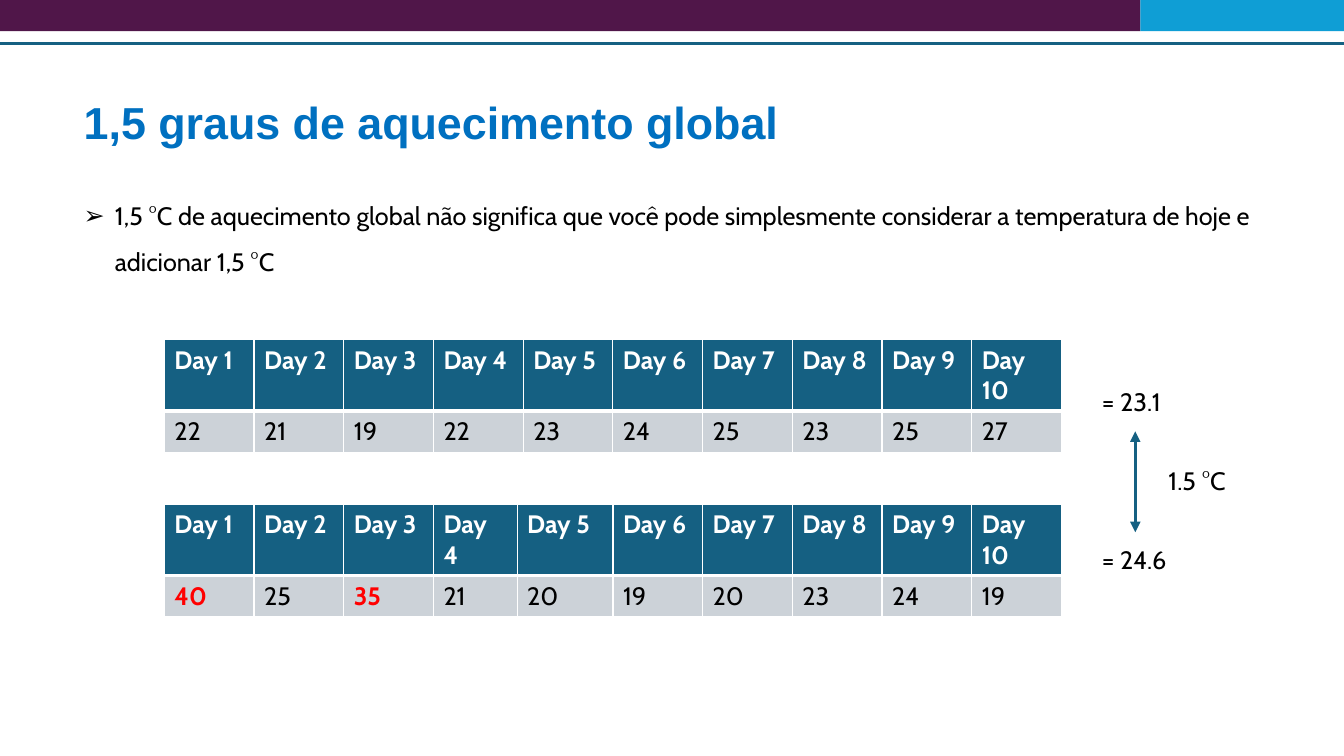
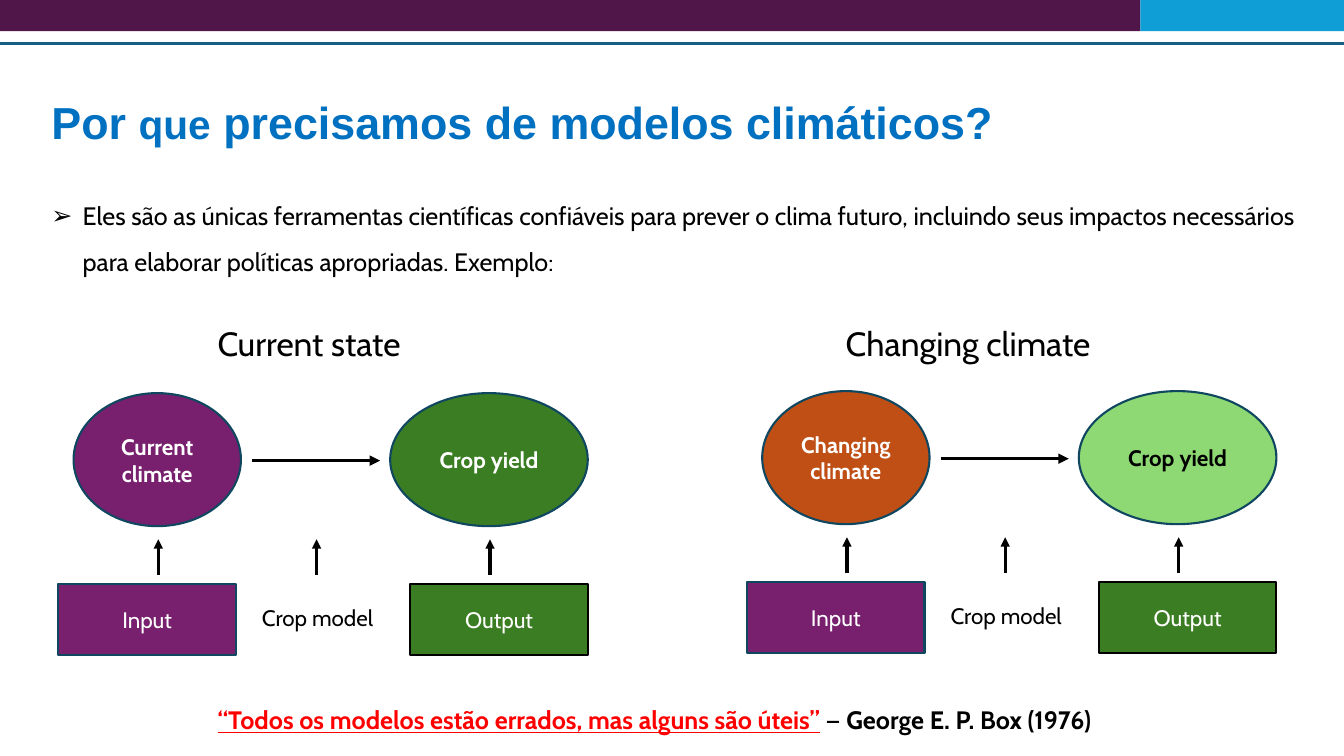
from lxml.etree import SubElement
from pptx import Presentation
from pptx.dml.color import RGBColor
from pptx.enum.shapes import MSO_CONNECTOR, MSO_SHAPE
from pptx.enum.text import MSO_ANCHOR, MSO_AUTO_SIZE, PP_ALIGN
from pptx.oxml import parse_xml
from pptx.oxml.ns import nsdecls, qn
from pptx.util import Emu, Pt

EMU_PER_PX = 9144  # 100 px to the inch
SLIDE_WIDTH, SLIDE_HEIGHT = 1333, 750
BAND_SPLIT, BAND_HEIGHT, RULE_TOP = 1131, 31, 43

TITLE_FONT, BODY_FONT = "Arial", "Cabin"

BLACK = RGBColor(0x00, 0x00, 0x00)
WHITE = RGBColor(0xFF, 0xFF, 0xFF)
RED = RGBColor(0xFF, 0x00, 0x00)
TITLE_BLUE = RGBColor(0x00, 0x70, 0xC0)
BAND_PLUM = RGBColor(0x50, 0x16, 0x49)
BAND_BLUE = RGBColor(0x0F, 0x9E, 0xD5)
TEAL = RGBColor(0x15, 0x60, 0x82)
DARK_TEAL = RGBColor(0x10, 0x47, 0x60)
CELL_GREY = RGBColor(0xCC, 0xD2, 0xD8)
PURPLE = RGBColor(0x78, 0x20, 0x6E)
GREEN = RGBColor(0x3B, 0x7D, 0x23)
LIGHT_GREEN = RGBColor(0x8E, 0xD9, 0x73)
ORANGE = RGBColor(0xC0, 0x4F, 0x15)


def px(length):
    return Emu(length * EMU_PER_PX)


def box(left, top, width, height):
    return px(left), px(top), px(width), px(height)


def add_run(paragraph, text, *, size=18, font=BODY_FONT, color=BLACK,
            bold=False, underline=False):
    run = paragraph.add_run()
    run.text = text
    run.font.size = Pt(size)
    run.font.name = font
    run.font.color.rgb = color
    run.font.bold = bold
    run.font.underline = underline


def add_text(slide, text, left, top, width, height, **text_format):
    """Add a text box and return its paragraph, so that runs can follow."""
    frame = slide.shapes.add_textbox(*box(left, top, width, height)).text_frame
    frame.word_wrap = True
    paragraph = frame.paragraphs[0]
    add_run(paragraph, text, **text_format)
    return paragraph


def add_shape(slide, kind, left, top, width, height, fill, outline=None,
              text=None, **text_format):
    shape = slide.shapes.add_shape(kind, *box(left, top, width, height))
    shape.shadow.inherit = False
    shape.fill.solid()
    shape.fill.fore_color.rgb = fill
    if outline is None:
        shape.line.fill.background()
    else:
        shape.line.color.rgb = outline
        shape.line.width = Pt(1.5)
    if text:
        frame = shape.text_frame
        frame.word_wrap = True
        frame.vertical_anchor = MSO_ANCHOR.MIDDLE
        paragraph = frame.paragraphs[0]
        paragraph.alignment = PP_ALIGN.CENTER
        add_run(paragraph, text, **text_format)


def add_line(slide, start, end, color, width, arrowheads=()):
    """Draw a straight line; arrowheads names its ends: headEnd, tailEnd."""
    connector = slide.shapes.add_connector(
        MSO_CONNECTOR.STRAIGHT, *map(px, start + end))
    connector.line.color.rgb = color
    connector.line.width = Pt(width)
    line = connector.line._get_or_add_ln()
    for arrowhead in arrowheads:
        SubElement(line, qn(f"a:{arrowhead}"), type="triangle")
    SubElement(connector._element.spPr, qn("a:effectLst"))


def place(placeholder, left, top, width, height, anchor):
    placeholder.left, placeholder.top, placeholder.width, placeholder.height = box(
        left, top, width, height)
    frame = placeholder.text_frame
    frame.auto_size = MSO_AUTO_SIZE.NONE
    frame.word_wrap = True
    frame.vertical_anchor = anchor
    paragraph = frame.paragraphs[0]
    paragraph.alignment = PP_ALIGN.LEFT
    return paragraph


def add_content_slide(presentation, title_runs, bullet, left, body_width):
    """Add a slide with the shared bands, a title and one bulleted paragraph."""
    slide = presentation.slides.add_slide(presentation.slide_layouts[1])
    add_shape(slide, MSO_SHAPE.RECTANGLE, 0, 0, BAND_SPLIT, BAND_HEIGHT, BAND_PLUM)
    add_shape(slide, MSO_SHAPE.RECTANGLE, BAND_SPLIT, 0,
              SLIDE_WIDTH - BAND_SPLIT, BAND_HEIGHT, BAND_BLUE)
    add_line(slide, (0, RULE_TOP), (SLIDE_WIDTH, RULE_TOP), TEAL, 2.25)

    title = place(slide.shapes.title, left, 56, 1200, 136, MSO_ANCHOR.MIDDLE)
    title.line_spacing = 0.9
    for text, size in title_runs:
        add_run(title, text, size=size, font=TITLE_FONT, color=TITLE_BLUE, bold=True)

    body = place(slide.placeholders[1], left, 179, body_width, 96, MSO_ANCHOR.TOP)
    properties = body._p.get_or_add_pPr()
    properties.set("marL", str(px(31)))
    properties.set("indent", str(px(-31)))
    SubElement(properties, qn("a:buFont"), typeface=TITLE_FONT)
    SubElement(properties, qn("a:buChar"), char="➢")
    body.line_spacing = 1.5
    body.space_before = Pt(0)
    add_run(body, bullet)
    return slide


def set_borders(cell, **widths):
    """Give the cell white borders of the given widths in points."""
    properties = cell._tc.get_or_add_tcPr()
    for index, side in enumerate("LRTB"):
        properties.insert(index, parse_xml(
            f'<a:ln{side} {nsdecls("a")} w="{Pt(widths.get(side, 1))}">'
            f'<a:solidFill><a:srgbClr val="{WHITE}"/></a:solidFill></a:ln{side}>'))


def fill_cell(cell, text, fill, borders, **text_format):
    cell.fill.solid()
    cell.fill.fore_color.rgb = fill
    set_borders(cell, **borders)
    add_run(cell.text_frame.paragraphs[0], text, **text_format)


def add_day_table(slide, top, temperatures, column_widths, hot_days=()):
    row_heights = (68, 41)
    table = slide.shapes.add_table(
        2, len(temperatures),
        *box(163, top, sum(column_widths), sum(row_heights))).table
    for row, height in zip(table.rows, row_heights):
        row.height = px(height)
    for index, (temperature, width) in enumerate(zip(temperatures, column_widths)):
        day = index + 1
        hot = day in hot_days
        table.columns[index].width = px(width)
        fill_cell(table.cell(0, index), f"Day {day}", TEAL, {"B": 3},
                  color=WHITE, bold=True)
        fill_cell(table.cell(1, index), str(temperature), CELL_GREY, {"T": 3},
                  color=RED if hot else BLACK, bold=hot)


def add_crop_diagram(slide, left, top, heading, heading_left, climate,
                     climate_fill, yield_fill, yield_color):
    """Draw climate leading to crop yield, with the model parts below."""
    add_text(slide, heading, heading_left, 315, 343, 50, size=24)
    add_shape(slide, MSO_SHAPE.OVAL, left + 15, top, 166, 132, climate_fill,
              DARK_TEAL, climate, size=16, color=WHITE, bold=True)
    add_shape(slide, MSO_SHAPE.OVAL, left + 329, top, 196, 132, yield_fill,
              DARK_TEAL, "Crop yield", size=16, color=yield_color, bold=True)
    add_line(slide, (left + 192, top + 67), (left + 319, top + 67),
             BLACK, 2.5, ["tailEnd"])

    for part, offset, fill, outline in (("Input", 0, PURPLE, DARK_TEAL),
                                        ("Output", 349, GREEN, BLACK)):
        add_shape(slide, MSO_SHAPE.RECTANGLE, left + offset, top + 189, 176, 71,
                  fill, outline, part, size=16, color=WHITE)
    add_text(slide, "Crop model", left + 192, top + 204, 196, 37, size=16)
    for offset in (99, 256, 428):
        add_line(slide, (left + offset, top + 180), (left + offset, top + 145),
                 BLACK, 2.25, ["tailEnd"])


def add_warming_slide(presentation):
    slide = add_content_slide(
        presentation, [("1,5 graus de aquecimento global", 32)],
        "1,5 °C de aquecimento global não significa que você pode simplesmente "
        "considerar a temperatura de hoje e adicionar 1,5 °C",
        left=73, body_width=1234)
    add_day_table(slide, 337, (22, 21, 19, 22, 23, 24, 25, 23, 25, 27), [89] * 10)
    add_day_table(slide, 500, (40, 25, 35, 21, 20, 19, 20, 23, 24, 19),
                  [89] * 3 + [83, 95] + [89] * 5, hot_days=(1, 3))
    add_text(slide, "= 23.1", 1083, 378, 159, 40)
    add_text(slide, "= 24.6", 1083, 535, 159, 40)
    add_line(slide, (1126, 428), (1126, 528), TEAL, 2.5, ["headEnd", "tailEnd"])
    add_text(slide, "1.5 °C", 1149, 457, 149, 40)


def add_models_slide(presentation):
    slide = add_content_slide(
        presentation,
        [("Por ", 32), ("que", 29), (" precisamos de modelos climáticos?", 32)],
        "Eles são as únicas ferramentas científicas confiáveis para prever o clima "
        "futuro, incluindo seus impactos necessários para elaborar políticas "
        "apropriadas. Exemplo:",
        left=41, body_width=1259)
    add_crop_diagram(slide, 58, 390, "Current state", 206, "Current climate",
                     PURPLE, GREEN, WHITE)
    add_crop_diagram(slide, 741, 388, "Changing climate", 829, "Changing climate",
                     ORANGE, LIGHT_GREEN, BLACK)
    quote = add_text(slide, "“Todos os modelos estão errados, mas alguns são úteis”",
                     206, 694, 1009, 40, color=RED, bold=True, underline=True)
    add_run(quote, " — ")
    add_run(quote, "George E. P. Box (1976)", bold=True)


def main():
    presentation = Presentation()
    presentation.slide_width = px(SLIDE_WIDTH)
    presentation.slide_height = px(SLIDE_HEIGHT)
    add_warming_slide(presentation)
    add_models_slide(presentation)
    presentation.save("out.pptx")


if __name__ == "__main__":
    main()
